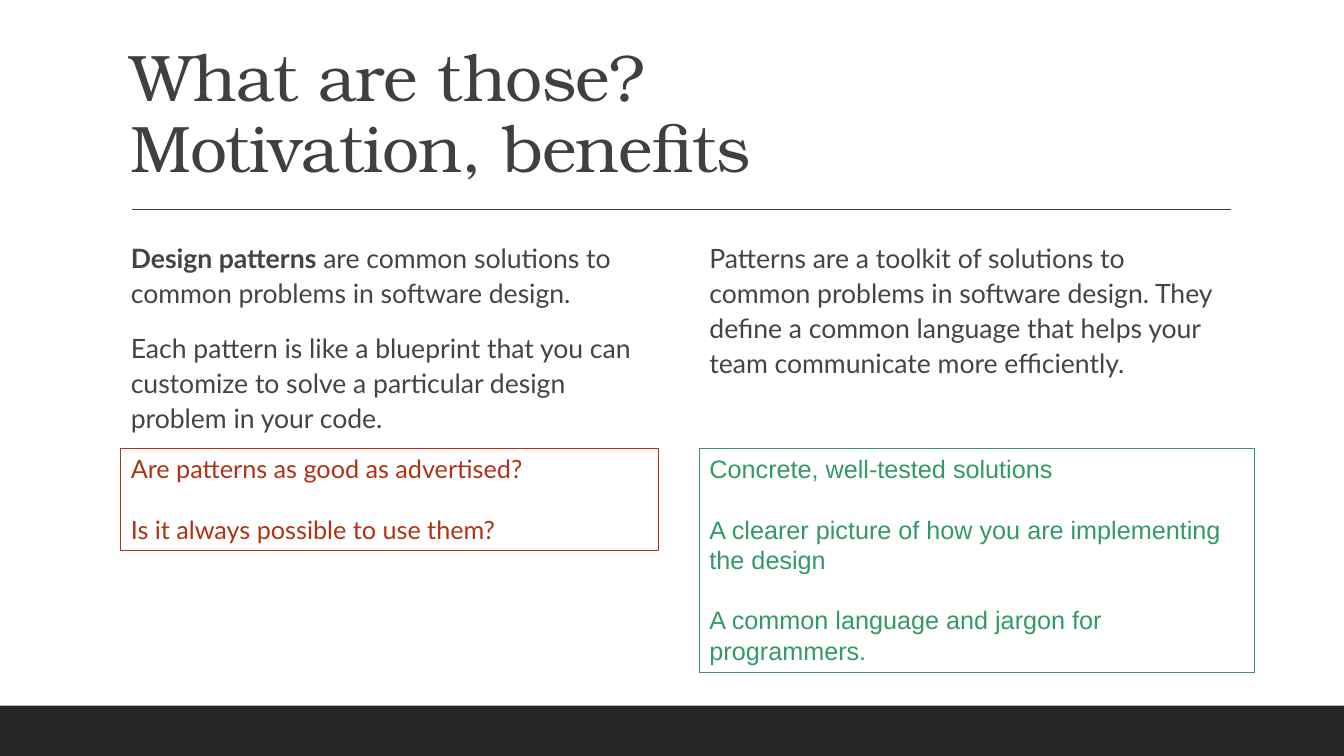
"""Build the slide on the motivation and benefits of design patterns."""
from dataclasses import dataclass
from typing import Optional

from lxml.etree import SubElement
from pptx import Presentation
from pptx.dml.color import RGBColor
from pptx.enum.shapes import MSO_CONNECTOR, MSO_SHAPE
from pptx.enum.text import MSO_ANCHOR, PP_ALIGN
from pptx.oxml.ns import qn
from pptx.slide import Slide
from pptx.util import Pt

COLORS = {
    "footer": "262626",
    "title": "404040",
    "body": "444444",
    "question": "B23214",
    "benefit": "339966",
}
LEFT, RIGHT = 86.4, 499.7
BODY_TOP, NOTE_TOP = 167, 320.4


@dataclass(frozen=True)
class Span:
    text: str
    bold: bool = False


@dataclass(frozen=True)
class TextBlock:
    left: float
    top: float
    width: float
    height: float
    paragraphs: list[list[Span]]
    font: str
    size: float
    color: str
    line_spacing: float | Pt
    space_before: float = 0
    space_after: float = 0
    outline: Optional[str] = None
    anchor: MSO_ANCHOR = MSO_ANCHOR.TOP
    tracking: int = 0


BLOCKS = [
    TextBlock(LEFT, 22.3, 792, 114.5,
              [[Span("What are those?\vMotivation, benefits")]],
              "TeX Gyre Bonum", 47, "title", 0.9,
              anchor=MSO_ANCHOR.BOTTOM, tracking=-50),
    TextBlock(LEFT, BODY_TOP, 383.8, 163.4,
              [[Span("Design patterns", True),
                Span("\u00a0are common solutions to common problems in software design.".replace("\u00a0", " "))],
               [Span("Each pattern is like a blueprint that you can customize "
                     "to solve a particular design problem in your code.")]],
              "Lato", 19, "body", 1.1, 12, 2),
    TextBlock(RIGHT, BODY_TOP, 378.7, 126,
              [[Span("Patterns are a toolkit of solutions to common problems in "
                     "software design. They define a common language that helps "
                     "your team communicate more efficiently.")]],
              "Lato", 19, "body", 1.1, 12, 2),
    TextBlock(LEFT, NOTE_TOP, 383.8, 72.7,
              [[Span("Are patterns as good as advertised?")],
               [Span("Is it always possible to use them?")]],
              "Lato", 18, "question", Pt(21.6), 21.6, outline="question"),
    TextBlock(RIGHT, NOTE_TOP, 396.7, 159.8,
              [[Span("Concrete, well-tested solutions")],
               [Span("A clearer picture of how you are implementing the design")],
               [Span("A common language and jargon for programmers.")]],
              "Arial", 18, "benefit", Pt(21.6), 21.6, outline="benefit"),
]


def color(name: str) -> RGBColor:
    return RGBColor.from_string(COLORS[name])


def draw_footer(slide: Slide) -> None:
    shape = slide.shapes.add_shape(MSO_SHAPE.RECTANGLE, Pt(0), Pt(504), Pt(960), Pt(36))
    shape.shadow.inherit = False
    shape.fill.solid()
    shape.fill.fore_color.rgb = color("footer")
    shape.line.fill.background()


def draw_title_rule(slide: Slide) -> None:
    connector = slide.shapes.add_connector(
        MSO_CONNECTOR.STRAIGHT, Pt(94.3), Pt(149.5), Pt(879), Pt(149.5))
    connector.line.color.rgb = color("title")
    connector.line.width = Pt(1)
    SubElement(connector._element.spPr, qn("a:effectLst"))


def draw_block(slide: Slide, block: TextBlock) -> None:
    position = Pt(block.left), Pt(block.top), Pt(block.width), Pt(block.height)
    if block.outline:
        shape = slide.shapes.add_shape(MSO_SHAPE.RECTANGLE, *position)
        shape.shadow.inherit = False
        shape.fill.background()
        shape.line.color.rgb = color(block.outline)
        shape.line.width = Pt(0.75)
    else:
        shape = slide.shapes.add_textbox(*position)
    frame = shape.text_frame
    frame.word_wrap = True
    frame.vertical_anchor = block.anchor
    for index, spans in enumerate(block.paragraphs):
        paragraph = frame.add_paragraph() if index else frame.paragraphs[0]
        paragraph.alignment = PP_ALIGN.LEFT
        paragraph.line_spacing = block.line_spacing
        paragraph.space_before = Pt(block.space_before if index else 0)
        paragraph.space_after = Pt(block.space_after)
        for span in spans:
            for number, line in enumerate(span.text.split("\v")):
                if number:
                    paragraph.add_line_break()
                run = paragraph.add_run()
                run.text = line
                run.font.name = block.font
                run.font.size = Pt(block.size)
                run.font.bold = span.bold
                run.font.color.rgb = color(block.color)
                if block.tracking:
                    run._r.get_or_add_rPr().set("spc", str(block.tracking))


def main() -> None:
    presentation = Presentation()
    presentation.slide_width, presentation.slide_height = Pt(960), Pt(540)
    slide = presentation.slides.add_slide(presentation.slide_layouts[6])
    draw_footer(slide)
    draw_title_rule(slide)
    for block in BLOCKS:
        draw_block(slide, block)
    presentation.save("out.pptx")


if __name__ == "__main__":
    main()
